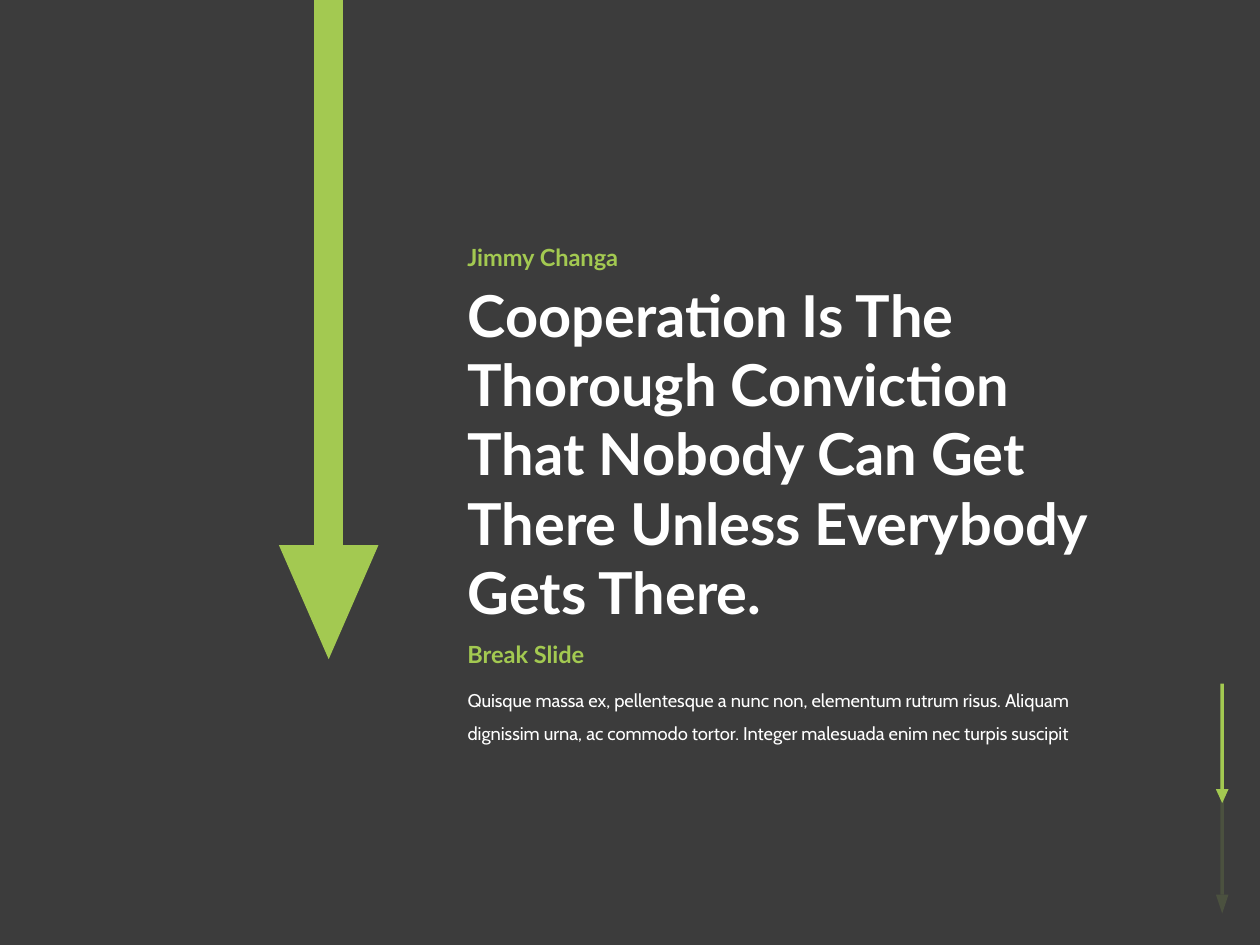
from typing import NamedTuple

from lxml.etree import SubElement
from pptx import Presentation
from pptx.dml.color import RGBColor
from pptx.enum.shapes import MSO_SHAPE as Preset
from pptx.enum.text import MSO_ANCHOR as Anchor, MSO_AUTO_SIZE as Fit, PP_ALIGN as Align
from pptx.oxml.ns import qn
from pptx.util import Pt

DARK, GREEN, WHITE = "3C3C3C", "A3C951", "FFFFFF"
LEFT = 260


class Box(NamedTuple):
    left: float
    top: float
    width: float
    height: float


class Arrow(NamedTuple):
    """A downward arrow, centred on mid, whose head starts at neck."""
    mid: float
    top: float
    neck: float
    thick: float
    wide: float
    tall: float


class Style(NamedTuple):
    font: str
    size: float
    color: str
    bold: bool = False
    space: float = 1.0


HEAD = Style("Lato", 33, WHITE, True)
LABEL = Style("Lato", 13.5, GREEN, True)
BODY = Style("Cabin", 10.5, WHITE, space=1.5)

FAINT = Arrow(698.4, 430.2, 511.2, 2, 7.2, 10.8)
SMALL = Arrow(698.4, 390.6, 451, 2, 7.2, 7.9)
LARGE = Arrow(187.8, -12, 311.5, 16.5, 56.9, 65.2)

QUOTE = "\n".join([
    "Cooperation Is The",
    "Thorough Conviction",
    "That Nobody Can Get",
    "There Unless Everybody",
    "Gets There.",
])
NOTE = ("Quisque massa ex, pellentesque a nunc non, elementum rutrum risus. "
        "Aliquam dignissim urna, ac commodo tortor. "
        "Integer malesuada enim nec turpis suscipit")


def paint(fill, color: str) -> None:
    fill.solid()
    fill.fore_color.rgb = RGBColor.from_string(color)


def add_shape(slide, kind: Preset, box: Box, color: str):
    shape = slide.shapes.add_shape(kind, *map(Pt, box))
    shape.shadow.inherit = False
    paint(shape.fill, color)
    shape.line.fill.background()
    return shape


def add_arrow(slide, arrow: Arrow) -> None:
    mid, top, neck, thick, wide, tall = arrow
    add_shape(slide, Preset.RECTANGLE, Box(mid - thick / 2, top, thick, neck - top), GREEN)
    head = add_shape(slide, Preset.ISOSCELES_TRIANGLE,
                     Box(mid - wide / 2, neck, wide, tall), GREEN)
    head.rotation = 180


def add_veil(slide, box: Box, alpha: int) -> None:
    """Cover the box with the background colour at alpha percent."""
    veil = add_shape(slide, Preset.RECTANGLE, box, DARK)
    tint = next(veil.element.spPr.iter(qn("a:srgbClr")))
    SubElement(tint, qn("a:alpha"), val=str(alpha * 1000))


def set_text(shape, box: Box, text: str, style: Style) -> None:
    shape.left, shape.top, shape.width, shape.height = map(Pt, box)
    frame = shape.text_frame
    frame.text = text
    frame.word_wrap = True
    frame.auto_size = Fit.SHAPE_TO_FIT_TEXT
    frame.vertical_anchor = Anchor.TOP
    for para in frame.paragraphs:
        para.alignment = Align.LEFT
        para.line_spacing = style.space
        para.space_before = Pt(0)
        for run in para.runs:
            run.font.name = style.font
            run.font.size = Pt(style.size)
            run.font.bold = style.bold
            paint(run.font.fill, style.color)


def add_label(slide, box: Box, text: str) -> None:
    set_text(slide.shapes.add_textbox(*map(Pt, box)), box, text, LABEL)


def drop_bullets(shape) -> None:
    for para in shape.text_frame.paragraphs:
        props = para._p.get_or_add_pPr()
        props.set("marL", "0")
        props.set("indent", "0")
        SubElement(props, qn("a:buNone"))


def main() -> None:
    deck = Presentation()
    deck.slide_width, deck.slide_height = Pt(720), Pt(540)
    slide = deck.slides.add_slide(deck.slide_layouts[1])
    paint(slide.background.fill, DARK)

    add_arrow(slide, FAINT)
    add_veil(slide, Box(106, 0, 614, 540), 85)
    add_arrow(slide, SMALL)
    add_arrow(slide, LARGE)

    title, body = slide.placeholders
    for holder in (title, body):
        slide.shapes.element.append(holder.element)  # bring in front of the veil
    set_text(title, Box(LEFT, 156.2, 417, 207.4), QUOTE, HEAD)
    set_text(body, Box(LEFT, 383.8, 389.5, 43.2), NOTE, BODY)
    drop_bullets(body)

    add_label(slide, Box(LEFT, 135.4, 130, 23.8), "Jimmy Changa")
    add_label(slide, Box(LEFT, 362.2, 120, 23.8), "Break Slide")

    deck.save("out.pptx")


if __name__ == "__main__":
    main()
